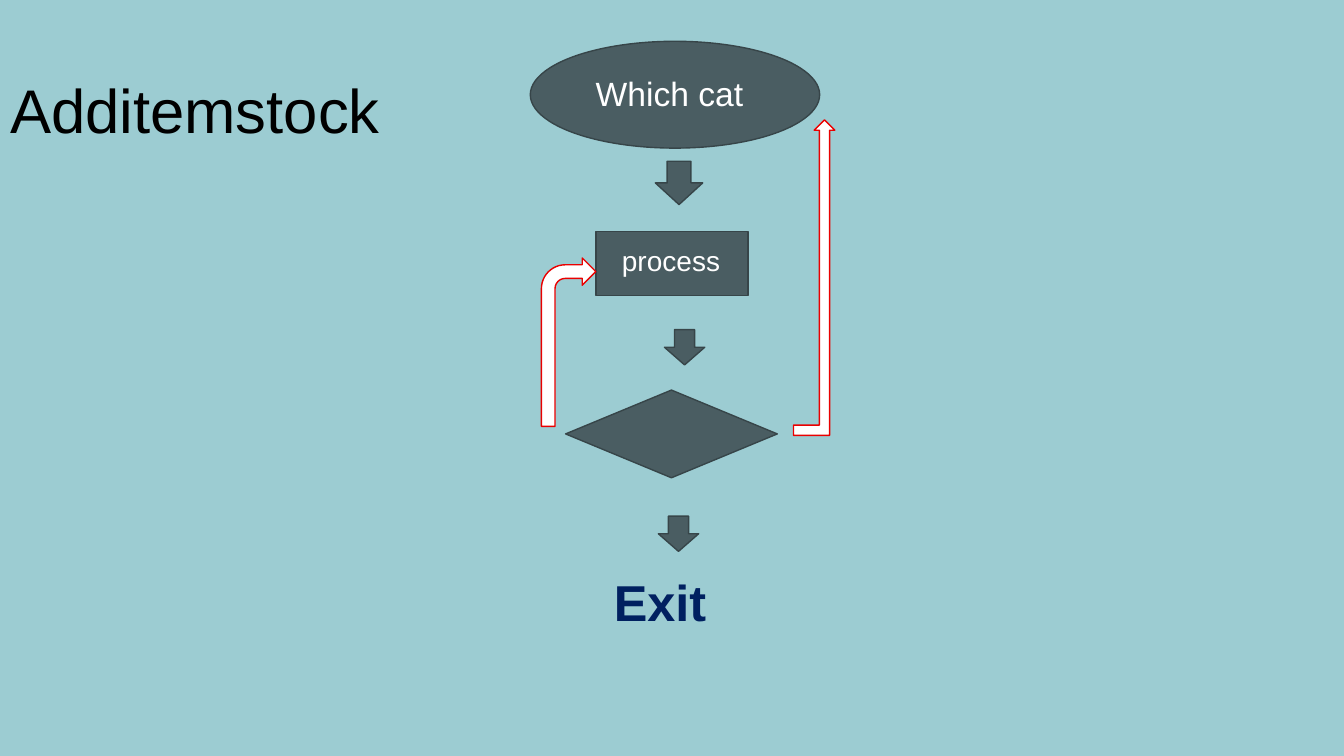
from pptx import Presentation
from pptx.dml.color import RGBColor
from pptx.enum.shapes import MSO_SHAPE as Kind
from pptx.enum.text import MSO_ANCHOR as Anchor, MSO_AUTO_SIZE as Fit, PP_ALIGN as Align
from pptx.util import Inches, Pt

SLATE = ("4A5D62", "374549")
LOOP = ("FFFFFF", "EA0000")


def paint(color, code):
    color.rgb = RGBColor.from_string(code)


class Chart:
    font = "Arial"

    def __init__(self, deck, back):
        self.slide = deck.slides.add_slide(deck.slide_layouts[5])
        fill = self.slide.background.fill
        fill.solid()
        paint(fill.fore_color, back)

    def shape(self, kind, box, look):
        item = self.slide.shapes.add_shape(kind, *map(Inches, box))
        item.shadow.inherit = False
        item.fill.solid()
        paint(item.fill.fore_color, look[0])
        paint(item.line.color, look[1])
        item.line.width = Pt(1)

    def letter(self, frame, text, size, code, bold=False):
        """Put one styled line of text into a frame."""
        form = {"word_wrap": True, "auto_size": Fit.NONE, "vertical_anchor": Anchor.TOP}
        for name, value in form.items():
            setattr(frame, name, value)
        para = frame.paragraphs[0]
        para.alignment = Align.LEFT
        run = para.add_run()
        run.text = text
        for name, value in {"name": self.font, "size": Pt(size), "bold": bold}.items():
            setattr(run.font, name, value)
        paint(run.font.color, code)

    def label(self, box, *style):
        item = self.slide.shapes.add_textbox(*map(Inches, box))
        self.letter(item.text_frame, *style)

    def title(self, box, *style):
        item = self.slide.shapes.title
        for name, value in zip(("left", "top", "width", "height"), box):
            setattr(item, name, Inches(value))
        self.letter(item.text_frame, *style)


def main():
    deck = Presentation()
    deck.slide_width, deck.slide_height = Inches(13.33), Inches(7.5)
    flow = Chart(deck, "9CCCD2")
    flow.title((0, 0.66, 4.96, 0.84), "Additemstock", 44, "000000")

    steps = [
        (Kind.OVAL, (5.26, 0.41, 2.87, 1.06)),
        (Kind.DOWN_ARROW, (6.5, 1.6, 0.47, 0.43)),
        (Kind.RECTANGLE, (5.91, 2.3, 1.51, 0.63)),
        (Kind.DOWN_ARROW, (6.59, 3.27, 0.4, 0.35)),
        (Kind.DIAMOND, (5.61, 3.87, 2.1, 0.87)),
        (Kind.DOWN_ARROW, (6.53, 5.12, 0.4, 0.35)),
    ]
    for kind, box in steps:
        flow.shape(kind, box, SLATE)

    flow.label((5.81, 0.67, 2.49, 0.5), "Which cat", 24, "FFFFFF")
    flow.label((6.07, 2.37, 1.4, 0.44), "process", 20, "FFFFFF")
    flow.label((5.99, 5.62, 2.68, 0.71), "Exit", 36, "002060", True)

    flow.shape(Kind.BENT_UP_ARROW, (7.87, 1.19, 0.41, 3.13), LOOP)
    flow.shape(Kind.BENT_ARROW, (5.37, 2.56, 0.54, 1.67), LOOP)
    deck.save("out.pptx")


if __name__ == "__main__":
    main()
